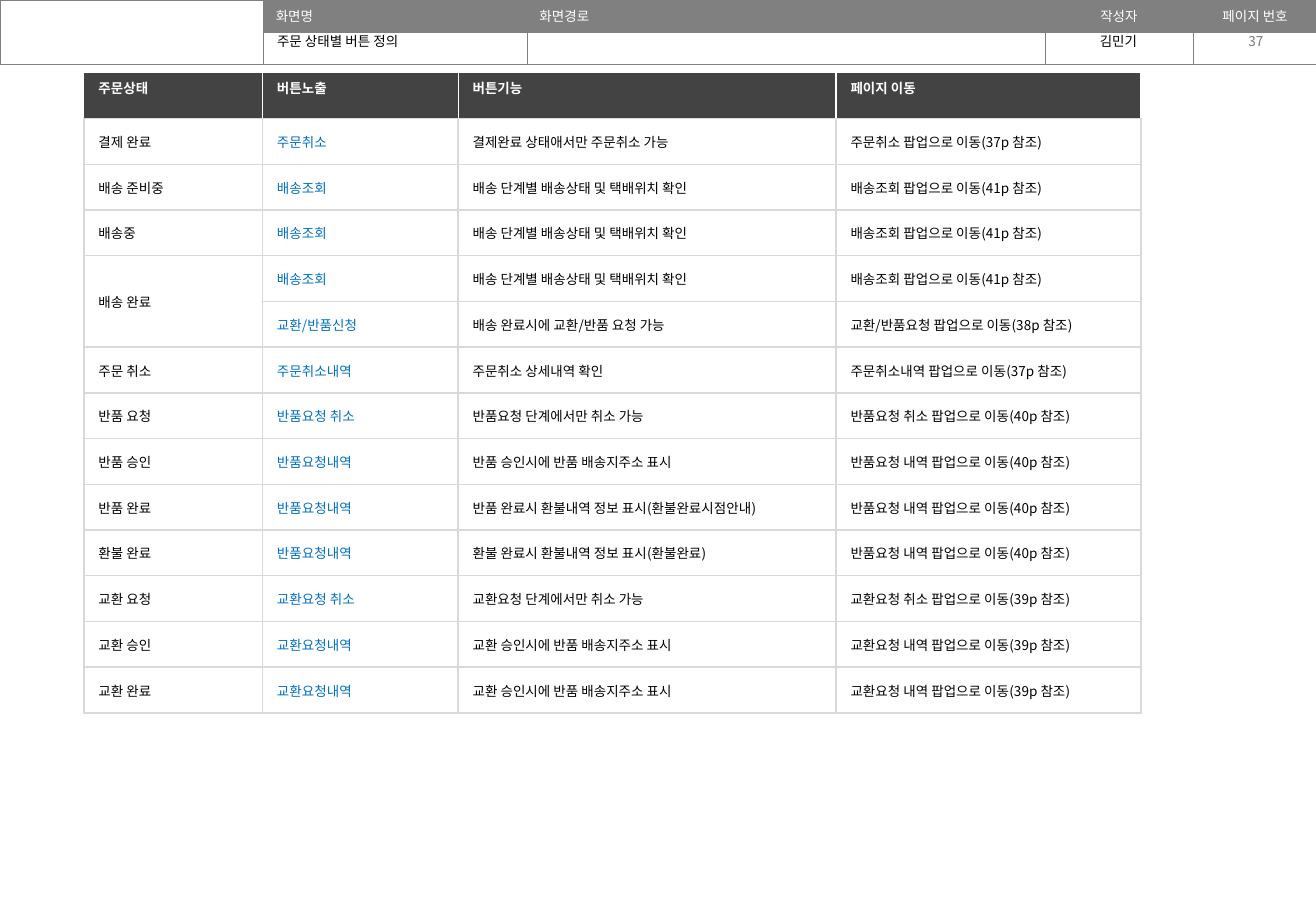
from lxml import etree
from pptx import Presentation
from pptx import util as u
from pptx.dml.color import RGBColor
from pptx.enum import text
from pptx.oxml import ns

FONT = "Noto Sans CJK KR"
WHITE = RGBColor(0xFF, 0xFF, 0xFF)
BLACK = RGBColor(0x00, 0x00, 0x00)
GRAY = RGBColor(0x80, 0x80, 0x80)
PAGE_GRAY = RGBColor(0x79, 0x79, 0x79)
DARK = RGBColor(0x43, 0x43, 0x43)
LINE_GRAY = RGBColor(0xD9, 0xD9, 0xD9)
LINK_BLUE = RGBColor(0x00, 0x70, 0xC0)
LEFT, CENTER = text.PP_ALIGN.LEFT, text.PP_ALIGN.CENTER
TOP, MIDDLE = text.MSO_ANCHOR.TOP, text.MSO_ANCHOR.MIDDLE

BANNER_COLUMNS = [2.17, 2.17, 4.26, 1.22, 1.02]
BANNER_LABELS = ["", "화면명", "화면경로", "작성자", "페이지 번호"]
STATUS_COLUMNS = [1.47, 1.61, 3.11, 2.51]
STATUS_HEADERS = ["주문상태", "버튼노출", "버튼기능", "페이지 이동"]
TRACKING = ("배송조회", "배송 단계별 배송상태 및 택배위치 확인", "배송조회 팝업으로 이동(41p 참조)")
RETURN_PAGE = "반품요청 내역 팝업으로 이동(40p 참조)"
EXCHANGE_DETAIL = ("교환요청내역", "교환 승인시에 반품 배송지주소 표시",
                   "교환요청 내역 팝업으로 이동(39p 참조)")
STATUS_ROWS = [
    ("결제 완료", "주문취소", "결제완료 상태애서만 주문취소 가능", "주문취소 팝업으로 이동(37p 참조)"),
    ("배송 준비중", *TRACKING),
    ("배송중", *TRACKING),
    ("배송 완료", *TRACKING),
    ("", "교환/반품신청", "배송 완료시에 교환/반품 요청 가능", "교환/반품요청 팝업으로 이동(38p 참조)"),
    ("주문 취소", "주문취소내역", "주문취소 상세내역 확인", "주문취소내역 팝업으로 이동(37p 참조)"),
    ("반품 요청", "반품요청 취소", "반품요청 단계에서만 취소 가능", "반품요청 취소 팝업으로 이동(40p 참조)"),
    ("반품 승인", "반품요청내역", "반품 승인시에 반품 배송지주소 표시", RETURN_PAGE),
    ("반품 완료", "반품요청내역", "반품 완료시 환불내역 정보 표시(환불완료시점안내)", RETURN_PAGE),
    ("환불 완료", "반품요청내역", "환불 완료시 환불내역 정보 표시(환불완료)", RETURN_PAGE),
    ("교환 요청", "교환요청 취소", "교환요청 단계에서만 취소 가능", "교환요청 취소 팝업으로 이동(39p 참조)"),
    ("교환 승인", *EXCHANGE_DETAIL),
    ("교환 완료", *EXCHANGE_DETAIL),
]


def write_text(text_frame, content, color, align=LEFT, bold=False):
    """Write one line of 8 pt text, or size the empty paragraph."""
    text_frame.text = content
    paragraph = text_frame.paragraphs[0]
    paragraph.alignment = align
    for run in paragraph.runs:
        run.font.size = u.Pt(8)
        run.font.bold = bold
        run.font.name = FONT
        run.font.color.rgb = color
        etree.SubElement(run.font._element, ns.qn("a:ea"), typeface=FONT)
    if not content:
        etree.SubElement(paragraph._p, ns.qn("a:endParaRPr"), sz="800")


def style_cell(cell, fill, borders):
    """Draw the left, right, top and bottom borders, then the fill."""
    properties = cell._tc.get_or_add_tcPr()
    for side, (color, width) in zip("LRTB", borders):
        line = etree.SubElement(properties, ns.qn(f"a:ln{side}"), w=str(u.Pt(width)))
        solid = etree.SubElement(line, ns.qn("a:solidFill"))
        etree.SubElement(solid, ns.qn("a:srgbClr"), val=str(color))
    if fill is None:
        cell.fill.background()
    else:
        cell.fill.solid()
        cell.fill.fore_color.rgb = fill


def add_plain_table(slide, left, top, columns, row_count, row_height):
    """Add a table without banding and return it."""
    frame = slide.shapes.add_table(
        row_count, len(columns), u.Inches(left), u.Inches(top),
        u.Inches(sum(columns)), u.Inches(row_height * row_count))
    table = frame.table
    table.first_row = table.horz_banding = False
    for column, width in zip(table.columns, columns):
        column.width = u.Inches(width)
    for row in table.rows:
        row.height = u.Inches(row_height)
    return table


def place_value(shape, left, top, width, content, color, align, anchor):
    """Place a banner value in the given box."""
    shape.left, shape.top = u.Inches(left), u.Inches(top)
    shape.width, shape.height = u.Inches(width), u.Inches(0.24)
    frame = shape.text_frame
    frame.word_wrap = True
    frame.auto_size = text.MSO_AUTO_SIZE.NONE
    frame.vertical_anchor = anchor
    write_text(frame, content, color, align)


def add_banner(slide, left, top):
    """Build the page banner with its labels and values."""
    table = add_plain_table(slide, left, top, BANNER_COLUMNS, 2, 0.265)
    for column, label in enumerate(BANNER_LABELS):
        align = CENTER if column > 2 else LEFT
        for row, content in enumerate((label, "")):
            cell = table.cell(row, column)
            write_text(cell.text_frame, content, WHITE, align)
            style_cell(cell, GRAY if content else None, [(GRAY, 0.25)] * 4)
    table.cell(0, 0).merge(table.cell(1, 0))

    value_top = top + 0.22
    place_value(slide.shapes.title, left + 2.18, value_top, 2.15,
                "주문 상태별 버튼 정의", BLACK, LEFT, TOP)
    for offset, width, content, color, anchor in (
            (8.59, 1.23, "김민기", BLACK, TOP), (9.83, 1.01, "37", PAGE_GRAY, MIDDLE)):
        box = slide.shapes.add_textbox(0, 0, 0, 0)
        place_value(box, left + offset, value_top, width, content, color, CENTER, anchor)


def add_status_table(slide, left, top, height):
    """Build the table of buttons for each order status."""
    rows = [STATUS_HEADERS, *STATUS_ROWS]
    table = add_plain_table(slide, left, top, STATUS_COLUMNS, len(rows), height / len(rows))
    gray_line = (LINE_GRAY, 1)
    for row, contents in enumerate(rows):
        for column, content in enumerate(contents):
            cell = table.cell(row, column)
            cell.margin_left = cell.margin_right = u.Inches(0.12)
            cell.margin_top = cell.margin_bottom = u.Inches(0.04)
            if row == 0:
                cell.vertical_anchor = TOP
                write_text(cell.text_frame, content, WHITE, bold=True)
                style_cell(cell, DARK, [(WHITE, 0.75)] * 3 + [gray_line])
            else:
                cell.vertical_anchor = MIDDLE
                write_text(cell.text_frame, content, LINK_BLUE if column == 1 else BLACK)
                style_cell(cell, None, [gray_line] * 4)
        if not contents[0]:
            table.cell(row - 1, 0).merge(table.cell(row, 0))


def main():
    """Build and save the presentation."""
    presentation = Presentation()
    presentation.slide_width = u.Inches(10.83)
    presentation.slide_height = u.Inches(7.5)
    slide = presentation.slides.add_slide(presentation.slide_layouts[5])
    add_banner(slide, 0, 0)
    add_status_table(slide, 0.69, 0.6, 5.27)
    presentation.save("out.pptx")


if __name__ == "__main__":
    main()
